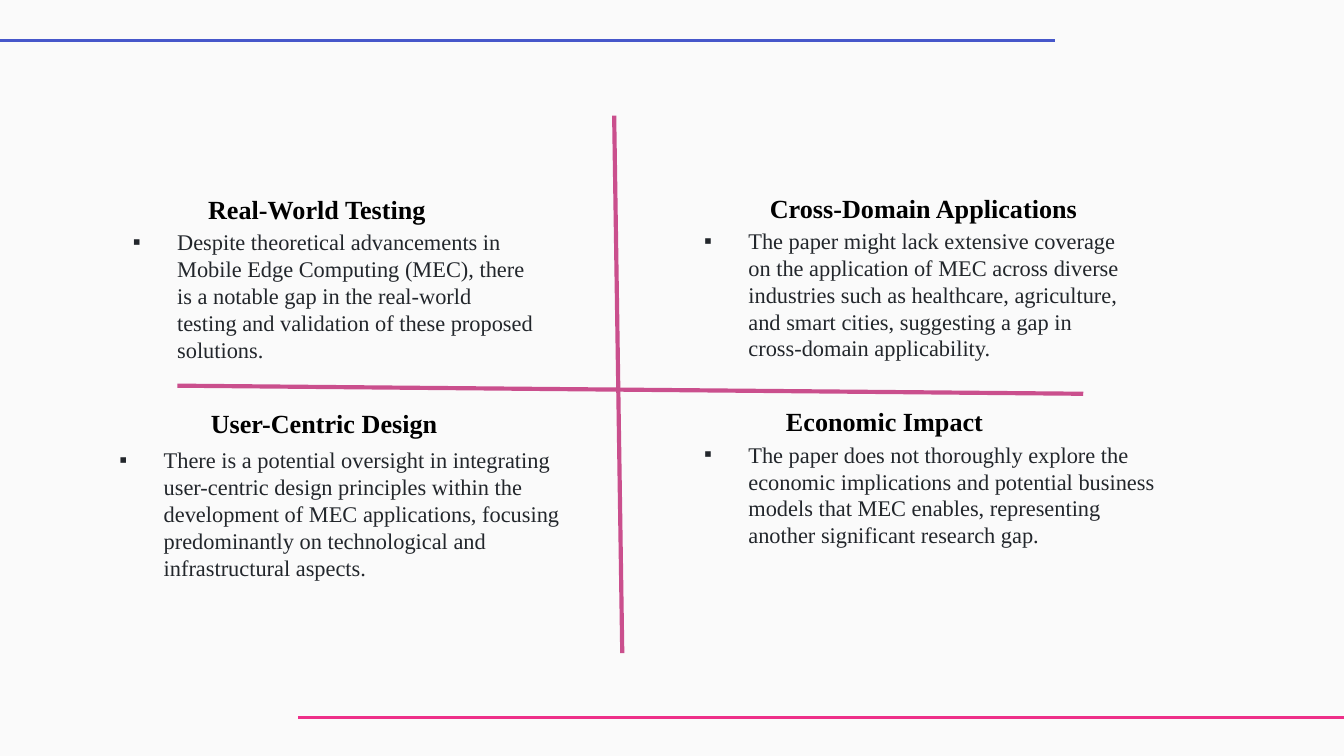
from lxml import etree
from pptx import Presentation
from pptx.dml.color import RGBColor
from pptx.enum.shapes import MSO_CONNECTOR
from pptx.enum.text import MSO_AUTO_SIZE
from pptx.oxml.ns import qn
from pptx.util import Inches, Pt

BACKGROUND = RGBColor(0xFA, 0xFA, 0xFA)
BLUE = RGBColor(0x46, 0x57, 0xCA)
PINK = RGBColor(0xEE, 0x2F, 0x89)
ROSE = RGBColor(0xCA, 0x4F, 0x8D)
INK = RGBColor(0x22, 0x26, 0x2B)
BLACK = RGBColor(0, 0, 0)

FONT = "Times New Roman"
HEADING = {"name": FONT, "size": Pt(14), "bold": True}
BODY = {"name": FONT, "size": Pt(12), "bold": False}

# Heading, heading box, body, body box; boxes are left, top, width, height.
QUADRANTS = [
    ("Real-World Testing", (1.45, 1.39, 1.98, 0.34),
     "Despite theoretical advancements in Mobile Edge Computing (MEC), there is a "
     "notable gap in the real-world testing and validation of these proposed solutions.",
     (0.72, 1.6, 3.36, 1.13)),
    ("Cross-Domain Applications", (5.63, 1.38, 2.56, 0.34),
     "The paper might lack extensive coverage on the application of MEC across diverse "
     "industries such as healthcare, agriculture, and smart cities, suggesting a gap in "
     "cross-domain applicability.",
     (4.97, 1.59, 3.52, 1.13)),
    ("User-Centric Design", (1.47, 2.98, 2.01, 0.34),
     "There is a potential oversight in integrating user-centric design principles within "
     "the development of MEC applications, focusing predominantly on technological and "
     "infrastructural aspects.",
     (0.62, 3.22, 3.8, 1.13)),
    ("Economic Impact", (5.75, 2.97, 1.77, 0.34),
     "The paper does not thoroughly explore the economic implications and potential "
     "business models that MEC enables, representing another significant research gap.",
     (4.97, 3.18, 3.85, 1.13)),
]


def add_line(slide, start, end, color, width):
    points = [Inches(v) for v in (*start, *end)]
    line = slide.shapes.add_connector(MSO_CONNECTOR.STRAIGHT, *points)
    line.line.color.rgb = color
    line.line.width = Pt(width)
    etree.SubElement(line._element.spPr, qn("a:effectLst"))


def add_bullet(p):
    """Give the paragraph a hanging square bullet."""
    pPr = p._p.get_or_add_pPr()
    pPr.set("marL", str(Inches(0.5)))
    pPr.set("indent", str(Inches(-0.33)))
    color = etree.SubElement(pPr, qn("a:buClr"))
    etree.SubElement(color, qn("a:srgbClr"), val=str(INK))
    etree.SubElement(pPr, qn("a:buFont"), typeface=FONT)
    etree.SubElement(pPr, qn("a:buChar"), char="▪")


def add_text(slide, text, box, style, color, inset_y, bullet=False):
    tb = slide.shapes.add_textbox(*(Inches(v) for v in box))
    tf = tb.text_frame
    tf.word_wrap = True
    tf.auto_size = MSO_AUTO_SIZE.NONE if bullet else MSO_AUTO_SIZE.SHAPE_TO_FIT_TEXT
    tf.margin_left = tf.margin_right = Inches(0.1)
    tf.margin_top = tf.margin_bottom = Inches(inset_y)
    p = tf.paragraphs[0]
    if bullet:
        add_bullet(p)
    r = p.add_run()
    r.text = text
    for key, value in style.items():
        setattr(r.font, key, value)
    r.font.color.rgb = color


def add_quadrant(slide, heading, heading_box, body, body_box):
    add_text(slide, body, body_box, BODY, INK, 0.1, bullet=True)
    add_text(slide, heading, heading_box, HEADING, BLACK, 0.05)


def add_border_lines(slide):
    add_line(slide, (2.22, 5.34), (10.09, 5.34), PINK, 1.5)
    add_line(slide, (-0.02, 0.3), (7.85, 0.3), BLUE, 1.5)


def add_cross(slide):
    add_line(slide, (4.57, 0.86), (4.63, 4.86), ROSE, 2.25)
    add_line(slide, (1.32, 2.87), (8.06, 2.93), ROSE, 2.25)


def main():
    prs = Presentation()
    prs.slide_width = Inches(10)
    prs.slide_height = prs.slide_width * 9 // 16
    slide = prs.slides.add_slide(prs.slide_layouts[6])
    fill = slide.background.fill
    fill.solid()
    fill.fore_color.rgb = BACKGROUND

    add_border_lines(slide)
    for quadrant in QUADRANTS:
        add_quadrant(slide, *quadrant)
    add_cross(slide)
    prs.save("out.pptx")


if __name__ == "__main__":
    main()
